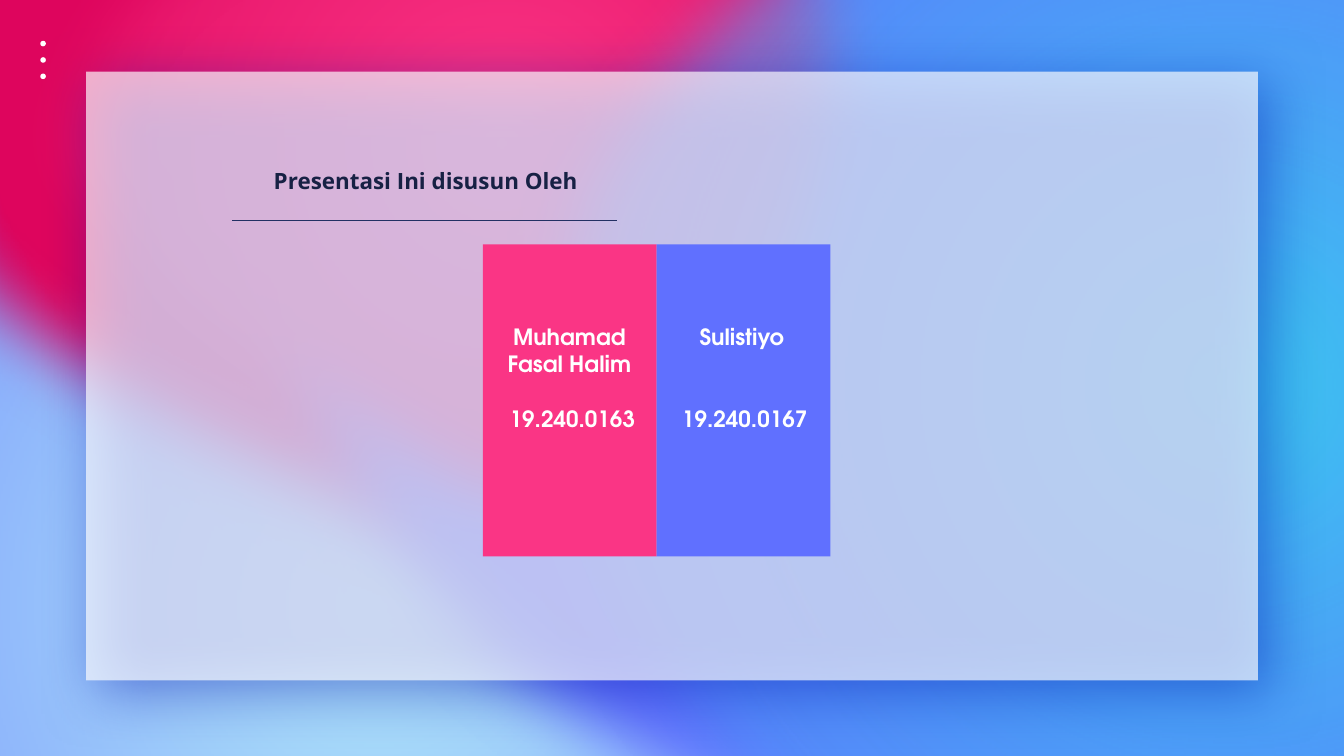
from lxml.etree import SubElement
from pptx import Presentation
from pptx.dml.color import RGBColor
from pptx.enum.shapes import MSO_CONNECTOR, MSO_SHAPE
from pptx.enum.text import MSO_ANCHOR, MSO_AUTO_SIZE, PP_ALIGN
from pptx.oxml.ns import qn
from pptx.util import Inches, Pt

THEME = {
    "white": "FFFFFF", "ink": "172144", "rule": "223063", "shade": "0012B0",
    "pink": "FA3585", "red": "DE055D", "blue": "6070FF",
    "cyan": "3BC8F1", "pale": "B1E9F9",
    "head": "Open Sans", "body": "TeX Gyre Adventor", "size": Pt(32),
}

TITLE = "Presentasi Ini disusun Oleh"
# name, height of its box, number, card colour
AUTHORS = [
    ("Muhamad Fasal Halim", 1.18, "19.240.0163", "pink"),
    ("Sulistiyo", 0.64, "19.240.0167", "blue"),
]

# Outline shared by all blobs, as fractions of width and height
OUTLINE = [
    (0.97, 0.48), (0.84, 0.2), (0.72, 0.06), (0.45, 0.01), (0.2, 0.17),
    (0, 0.6), (0.13, 0.84), (0.32, 0.94), (0.62, 1), (0.8, 0.98),
    (0.93, 0.87), (1, 0.74), (0.99, 0.58),
]
# box, turn, gradient stops from the centre (position, colour, opacity)
BLOBS = [
    ((-9.94, 0.18, 34.91, 23.42), 195, [(0, "pale", 100), (77, "blue", 100)]),
    ((-4.39, -8.96, 22.98, 20.55), 15,
     [(0, "red", 100), (40, "red", 100), (71, "blue", 100)]),
    ((2.64, -10.22, 32.83, 29.36), 255, [(0, "blue", 100)]),
    ((0.62, -5.57, 18.68, 16.7), 150, [(0, "pink", 100), (70, "red", 100)]),
    ((8.02, -7.18, 32.83, 29.36), 255, [(0, "cyan", 100), (80, "blue", 32)]),
]
SOFT = Pt(100)


def tint(name):
    return RGBColor.from_string(THEME[name])


def node(parent, tag, **attrs):
    return SubElement(parent, qn(tag), {k: str(v) for k, v in attrs.items()})


def paint(shape, name):
    shape.shadow.inherit = False
    shape.fill.solid()
    shape.fill.fore_color.rgb = tint(name)
    shape.line.fill.background()


def box(shapes, kind, area, name):
    shape = shapes.add_shape(kind, *map(Inches, area))
    paint(shape, name)
    return shape


def effects(shape):
    return shape._element.spPr.find(qn("a:effectLst"))


def smooth(shape):
    """Turn the straight sides of a closed freeform into Bezier curves."""
    track = next(shape._element.iter(qn("a:path")))
    dots = [(int(p.get("x")), int(p.get("y"))) for p in track.iter(qn("a:pt"))]
    for old in list(track)[1:]:
        track.remove(old)
    n = len(dots)
    for i in range(n):
        a, b, c, d = (dots[(i + k) % n] for k in (-1, 0, 1, 2))
        bend = node(track, "a:cubicBezTo")
        start = [q + (r - p) // 6 for p, q, r in zip(a, b, c)]
        end = [r - (u - q) // 6 for q, r, u in zip(b, c, d)]
        for x, y in (start, end, c):
            node(bend, "a:pt", x=x, y=y)
    node(track, "a:close")


def radial(shape, stops):
    solid = shape._element.spPr.find(qn("a:solidFill"))
    grad = solid.makeelement(qn("a:gradFill"), {"rotWithShape": "1"})
    solid.getparent().replace(solid, grad)
    chain = node(grad, "a:gsLst")
    for pos, name, alpha in stops:
        stop = node(chain, "a:gs", pos=pos * 1000)
        color = node(stop, "a:srgbClr", val=THEME[name])
        if alpha < 100:
            node(color, "a:alpha", val=alpha * 1000)
    ring = node(grad, "a:path", path="circle")
    node(ring, "a:fillToRect", l=50000, t=50000, r=50000, b=50000)


def blob(shapes, area, turn, stops):
    x, y, w, h = area
    dots = [(Inches(x + w * u), Inches(y + h * v)) for u, v in OUTLINE]
    pen = shapes.build_freeform(*dots[0])
    pen.add_line_segments(dots[1:], close=True)
    shape = pen.convert_to_shape()
    smooth(shape)
    shape.rotation = turn
    paint(shape, stops[0][1])
    if len(stops) > 1:
        radial(shape, stops)
    node(effects(shape), "a:softEdge", rad=SOFT)
    return shape


def panel(shapes):
    shape = box(shapes, MSO_SHAPE.RECTANGLE, (1.71, 1.42, 23.25, 12.08), "white")
    fill = shape._element.spPr.find(qn("a:solidFill"))
    node(fill[0], "a:alpha", val=67000)
    cast = node(effects(shape), "a:outerShdw", blurRad=Pt(84), dist=Pt(24),
                dir=45 * 60000, algn="tl", rotWithShape=0)
    color = node(cast, "a:srgbClr", val=THEME["shade"])
    node(color, "a:alpha", val=66000)
    return shape


def backdrop(slide):
    """Draw the blobs, dots and panel, and keep them on the layout."""
    shapes = slide.shapes
    parts = [blob(shapes, *item) for item in BLOBS]
    parts += [box(shapes, MSO_SHAPE.OVAL, (0.8, 0.81 + i * 0.325, 0.11, 0.11),
                  "white") for i in range(3)]
    parts.append(panel(shapes))
    tree = slide.slide_layout.shapes._spTree
    for i, part in enumerate(parts):
        part._element.nvSpPr.cNvPr.set("id", str(100 + i))
        tree.append(part._element)


def write(shape, text, font, color):
    frame = shape.text_frame
    frame.text = text
    frame.word_wrap = True
    frame.auto_size = MSO_AUTO_SIZE.SHAPE_TO_FIT_TEXT
    frame.vertical_anchor = MSO_ANCHOR.TOP
    para = frame.paragraphs[0]
    para.alignment = PP_ALIGN.CENTER
    para.font.name = THEME[font]
    para.font.size = THEME["size"]
    para.font.bold = True
    para.font.color.rgb = tint(color)


def heading(slide):
    title = slide.shapes.title
    title.left, title.top, title.width, title.height = map(
        Inches, (3.88, 3.27, 9.14, 0.64))
    write(title, TITLE, "head", "ink")
    rule = slide.shapes.add_connector(
        MSO_CONNECTOR.STRAIGHT, *map(Inches, (4.61, 4.38, 12.24, 4.38)))
    rule.line.color.rgb = tint("rule")
    rule.line.width = Pt(1.5)
    node(rule._element.spPr, "a:effectLst")


def authors(shapes):
    left, wide = 9.58, 3.45
    for i, (*_, color) in enumerate(AUTHORS):
        box(shapes, MSO_SHAPE.RECTANGLE, (left + i * wide, 4.85, wide, 6.19), color)
    for i, (name, tall, number, _) in enumerate(AUTHORS):
        group = shapes.add_group_shape()
        x = 9.82 + i * 3.42
        for text, area in ((name, (x, 6.37, 2.96, tall)),
                           (number, (x + 0.06, 7.99, 2.96, 0.64))):
            label = group.shapes.add_textbox(*map(Inches, area))
            write(label, text, "body", "white")


def main():
    deck = Presentation()
    deck.slide_width, deck.slide_height = Inches(26.67), Inches(15)
    slide = deck.slides.add_slide(deck.slide_layouts[5])
    backdrop(slide)
    heading(slide)
    authors(slide.shapes)
    deck.save("out.pptx")


if __name__ == "__main__":
    main()
